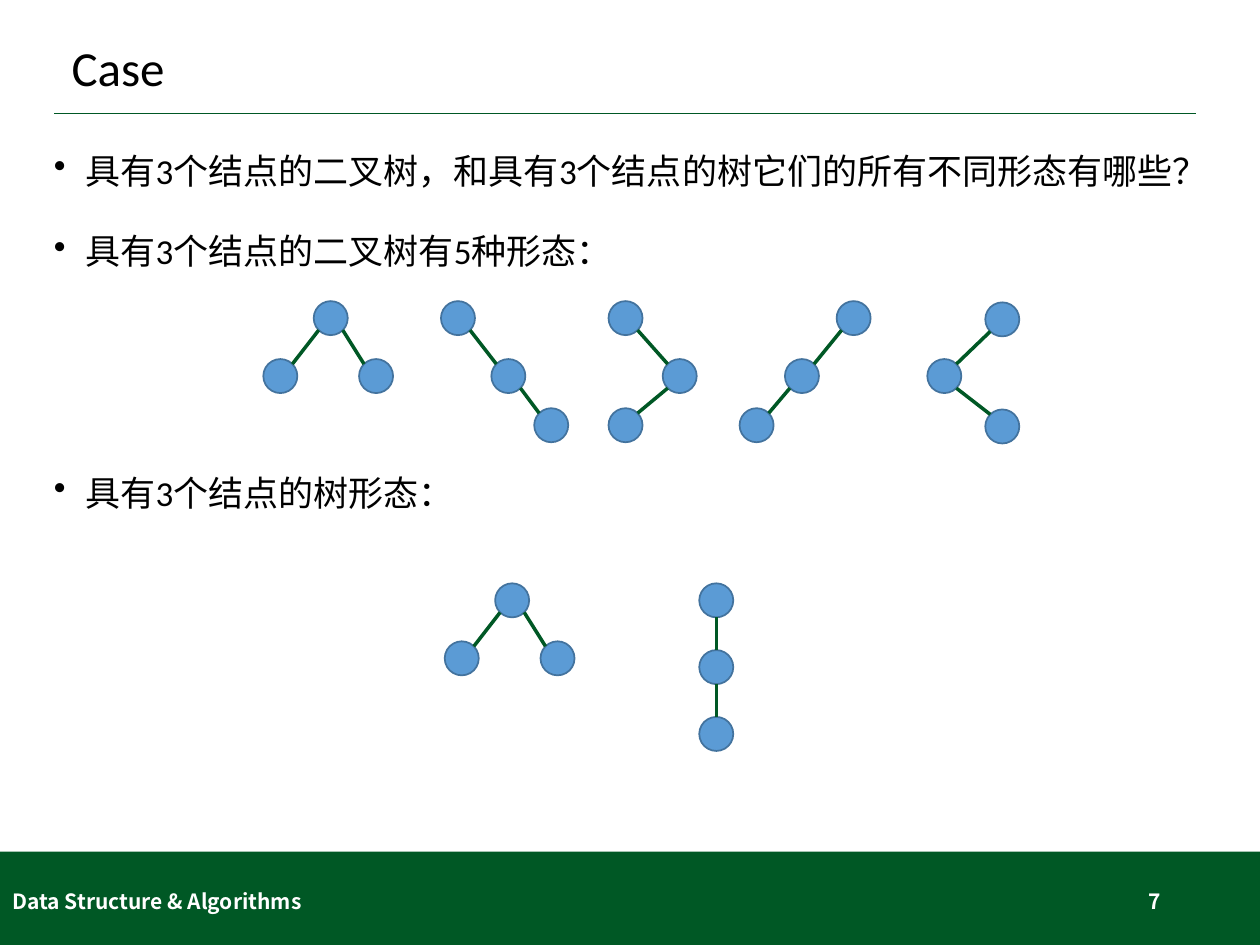
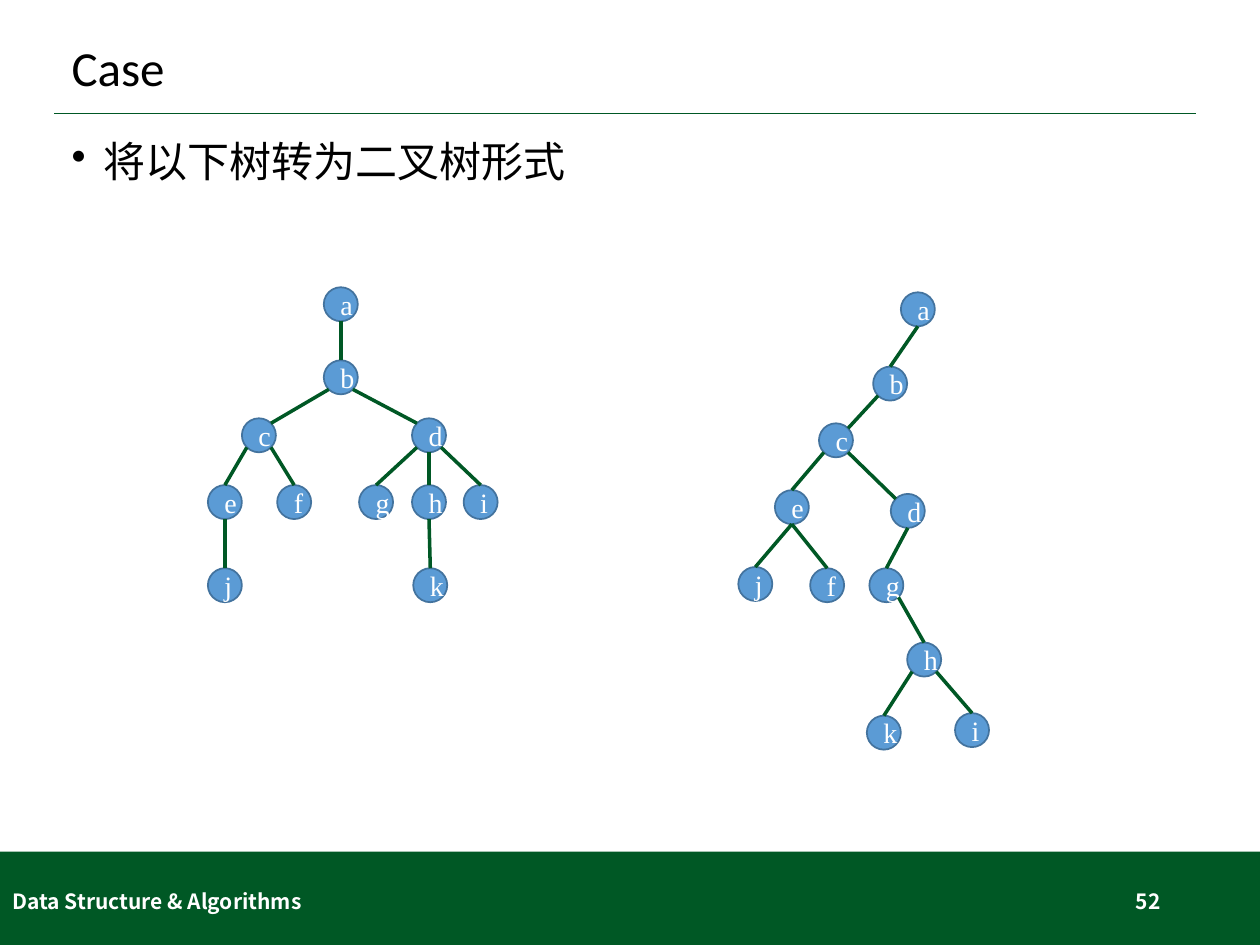
"""Build two case slides about trees and their binary forms."""
from lxml import etree
from pptx import Presentation
from pptx.dml.color import RGBColor
from pptx.enum.shapes import MSO_CONNECTOR, MSO_SHAPE
from pptx.enum.text import MSO_ANCHOR, PP_ALIGN
from pptx.oxml.ns import qn
from pptx.util import Inches, Pt

STRAIGHT = MSO_CONNECTOR.STRAIGHT
RECTANGLE, OVAL = MSO_SHAPE.RECTANGLE, MSO_SHAPE.OVAL
TOP, MIDDLE = MSO_ANCHOR.TOP, MSO_ANCHOR.MIDDLE
LEFT, CENTER, RIGHT = PP_ALIGN.LEFT, PP_ALIGN.CENTER, PP_ALIGN.RIGHT

COLORS = {"green": "005825", "node": "5B9BD5", "node_edge": "43739E",
          "text": "000000", "light": "FFFFFF"}
BODY_FONT, CJK_FONT, NODE_FONT = "Calibri", "Noto Sans CJK SC", "Times New Roman"
BLANK_LAYOUT = 6

NODE_SIZE = 0.27
RADIUS = NODE_SIZE / 2
DIAGONAL = RADIUS * 0.71
SIDES = {"N": (0, -RADIUS), "S": (0, RADIUS),
         "NW": (-DIAGONAL, -DIAGONAL), "NE": (DIAGONAL, -DIAGONAL),
         "SW": (-DIAGONAL, DIAGONAL), "SE": (DIAGONAL, DIAGONAL)}
DOWN, TO_LEFT, TO_RIGHT = ("S", "N"), ("SW", "NE"), ("SE", "NW")
LEFT_TO_TOP, RIGHT_TO_TOP = ("SW", "N"), ("SE", "N")

FORK = [(0.4, 0), (0, 0.46), (0.76, 0.46)]
FORK_EDGES = {TO_LEFT: "01", TO_RIGHT: "02"}
THREE_NODE_TREES = [
    ((2.09, 2.39), FORK, FORK_EDGES),
    ((3.5, 2.39), [(0, 0), (0.4, 0.46), (0.74, 0.85)], {TO_RIGHT: "01 12"}),
    ((4.83, 2.39), [(0, 0), (0.43, 0.46), (0, 0.85)],
     {TO_RIGHT: "01", TO_LEFT: "12"}),
    ((5.87, 2.39), [(0.77, 0), (0.36, 0.46), (0, 0.85)], {TO_LEFT: "01 12"}),
    ((7.36, 2.4), [(0.46, 0), (0, 0.45), (0.46, 0.85)],
     {TO_LEFT: "01", TO_RIGHT: "12"}),
    ((3.53, 4.63), FORK, FORK_EDGES),
    ((5.55, 4.63), [(0, 0.53 * level) for level in range(3)], {DOWN: "01 12"}),
]

GENERAL_TREE = {
    "a": (2.57, 2.28), "b": (2.57, 2.86), "c": (1.92, 3.32), "d": (3.27, 3.32),
    "e": (1.65, 3.85), "f": (2.2, 3.85), "g": (2.85, 3.85), "h": (3.27, 3.85),
    "i": (3.68, 3.85), "j": (1.65, 4.51), "k": (3.28, 4.51)}
GENERAL_EDGES = {DOWN: "ab ej dh hk", TO_LEFT: "bc", TO_RIGHT: "bd",
                 LEFT_TO_TOP: "ce dg", RIGHT_TO_TOP: "cf di"}
BINARY_TREE = {
    "a": (7.15, 2.32), "b": (6.93, 2.91), "c": (6.5, 3.36), "d": (7.07, 3.92),
    "e": (6.15, 3.89), "f": (6.43, 4.51), "g": (6.9, 4.51), "h": (7.2, 5.1),
    "i": (7.58, 5.66), "j": (5.86, 4.5), "k": (6.88, 5.68)}
BINARY_EDGES = {DOWN: "ab ef ej dg", TO_LEFT: "bc", TO_RIGHT: "cd",
                LEFT_TO_TOP: "ce hk", RIGHT_TO_TOP: "gh hi"}


def color(name):
    """Return a palette colour."""
    return RGBColor.from_string(COLORS[name])


def add_span(para, text, size, font=BODY_FONT, ink="text", bold=False):
    """Append one styled run to a paragraph."""
    span = para.add_run()
    span.text = text
    span.font.size = Pt(size)
    span.font.name = font
    span.font.bold = bold
    span.font.color.rgb = color(ink)
    if font != NODE_FONT:
        east_asian = etree.SubElement(span.font._element, qn("a:ea"))
        east_asian.set("typeface", CJK_FONT)


def add_box(page, left, top, width, height, anchor=MIDDLE):
    """Add a wrapping text box and return its text frame."""
    box = page.shapes.add_textbox(*map(Inches, (left, top, width, height)))
    box.text_frame.word_wrap = True
    box.text_frame.vertical_anchor = anchor
    return box.text_frame


def add_label(page, area, text, size, align=LEFT, spacing=1.0, **style):
    """Add a text box that holds one line."""
    para = add_box(page, *area).paragraphs[0]
    para.alignment = align
    para.line_spacing = spacing
    add_span(para, text, size, **style)


def add_bullets(page, area, items, size, spacing):
    """Add bulleted paragraphs from pairs of text and space before."""
    frame = add_box(page, *area, anchor=TOP)
    for index, (text, space_before) in enumerate(items):
        para = frame.add_paragraph() if index else frame.paragraphs[0]
        para.line_spacing = spacing
        para.space_before = Pt(space_before)
        properties = para._p.get_or_add_pPr()
        properties.set("marL", str(Inches(0.25)))
        properties.set("indent", str(Inches(-0.25)))
        etree.SubElement(properties, qn("a:buChar")).set("char", "•")
        add_span(para, text, size)


def add_line(page, start, end, width):
    """Draw a straight green line without a shadow."""
    line = page.shapes.add_connector(STRAIGHT, *map(Inches, (*start, *end)))
    line.line.color.rgb = color("green")
    line.line.width = Pt(width)
    etree.SubElement(line._element.spPr, qn("a:effectLst"))


def add_solid(page, kind, area, fill):
    """Add a filled preset shape without a shadow."""
    shape = page.shapes.add_shape(kind, *map(Inches, area))
    shape.shadow.inherit = False
    shape.fill.solid()
    shape.fill.fore_color.rgb = color(fill)
    return shape


def add_node(page, corner, label):
    """Add one round tree node with an optional letter."""
    node = add_solid(page, OVAL, (*corner, NODE_SIZE, NODE_SIZE), "node")
    node.line.color.rgb = color("node_edge")
    node.line.width = Pt(1)
    if label:
        para = node.text_frame.paragraphs[0]
        para.alignment = CENTER
        add_span(para, label, 16, NODE_FONT, "light")


def side_point(corner, side):
    """Return the point on a node's rim at a compass side."""
    return [edge + RADIUS + shift for edge, shift in zip(corner, SIDES[side])]


def add_tree(page, nodes, edges, labelled=True):
    """Draw the nodes of a tree and the lines from parents to children."""
    for name, corner in nodes.items():
        add_node(page, corner, name if labelled else "")
    for (leave, enter), pairs in edges.items():
        for parent, child in pairs.split():
            add_line(page, side_point(nodes[parent], leave),
                     side_point(nodes[child], enter), 2)


def add_page(deck, number):
    """Add a slide with the shared title, rule and footer band."""
    page = deck.slides.add_slide(deck.slide_layouts[BLANK_LAYOUT])
    add_solid(page, RECTANGLE, (0, 6.76, 10, 0.74), "green").line.fill.background()
    add_line(page, (0.43, 0.9), (9.49, 0.9), 1)
    add_label(page, (0.47, 0.23, 9.06, 0.66), "Case", 28, spacing=0.9)
    footer = {"font": CJK_FONT, "ink": "light", "bold": True}
    add_label(page, (7.06, 6.95, 2.25, 0.4), str(number), 12, RIGHT, **footer)
    add_label(page, (0, 6.95, 3.38, 0.4), "Data Structure & Algorithms", 12, **footer)
    return page


def add_shapes_page(deck):
    """Show every form of a tree with three nodes."""
    page = add_page(deck, 7)
    add_bullets(page, (0.33, 0.97, 9.5, 5.63), [
        ("具有3个结点的二叉树，和具有3个结点的树它们的所有不同形态有哪些？", 10),
        ("具有3个结点的二叉树有5种形态：", 10),
        ("具有3个结点的树形态：", 102)], 20, 1.5)
    for (left, top), offsets, edges in THREE_NODE_TREES:
        corners = [(left + across, top + down) for across, down in offsets]
        add_tree(page, dict(zip("012", corners)), edges, labelled=False)


def add_conversion_page(deck):
    """Show a tree beside its binary form."""
    page = add_page(deck, 52)
    add_bullets(page, (0.47, 1.07, 9.06, 5.54), [("将以下树转为二叉树形式", 10)], 24, 0.9)
    add_tree(page, GENERAL_TREE, GENERAL_EDGES)
    add_tree(page, BINARY_TREE, BINARY_EDGES)


def main():
    """Build and save the deck."""
    deck = Presentation()
    deck.slide_width, deck.slide_height = Inches(10), Inches(7.5)
    add_shapes_page(deck)
    add_conversion_page(deck)
    deck.save("out.pptx")


if __name__ == "__main__":
    main()
